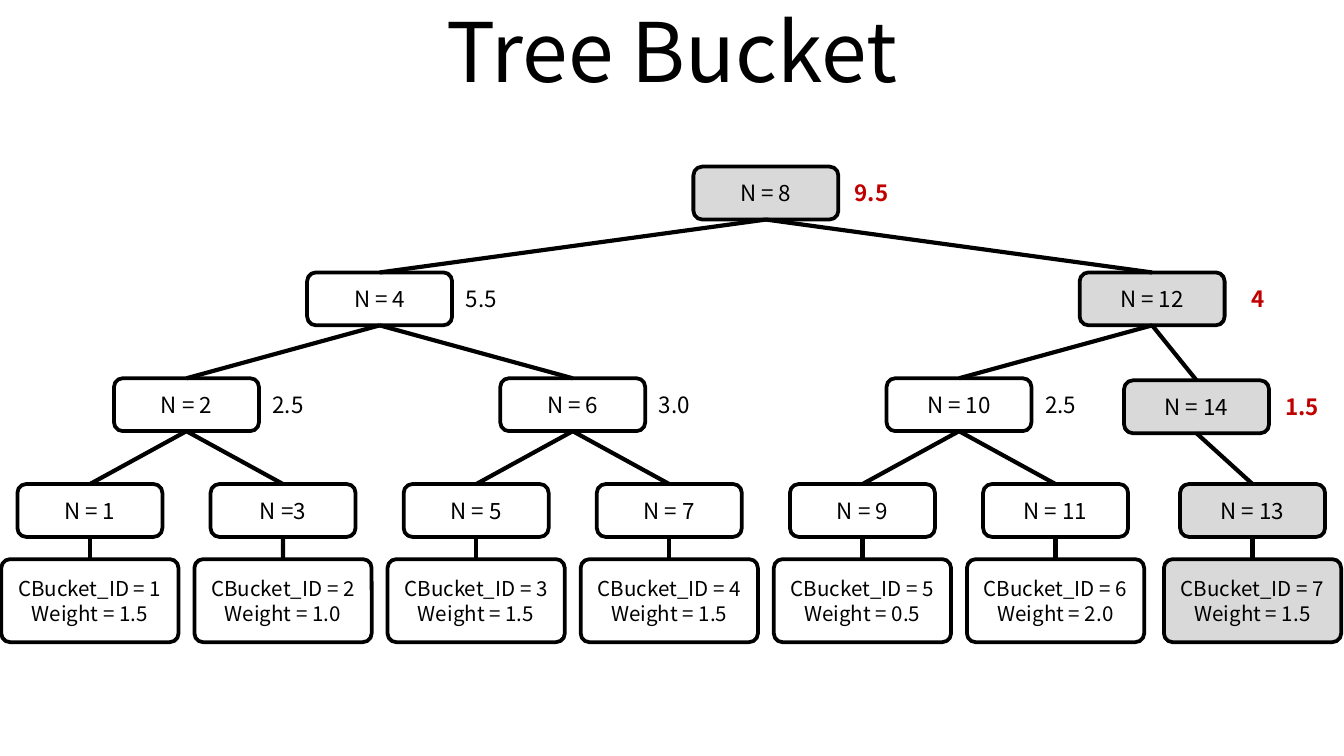
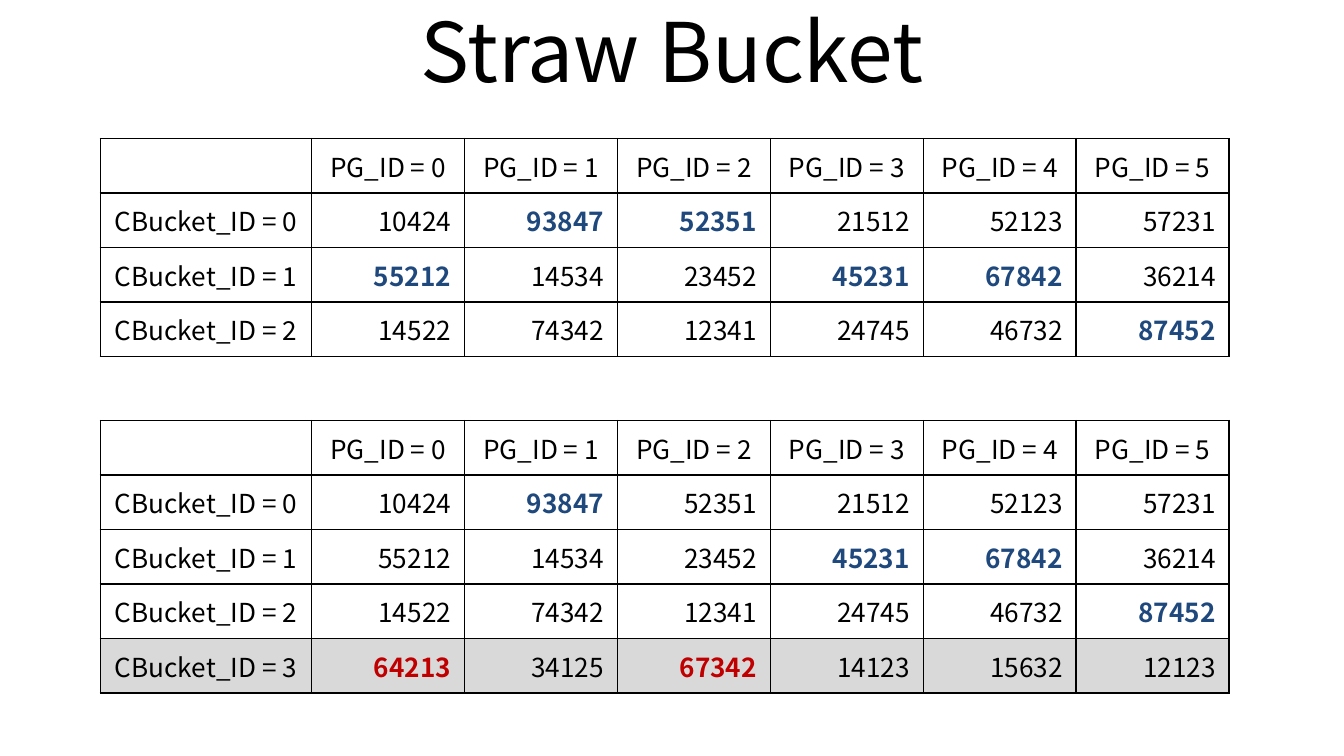
from collections import namedtuple

from lxml import etree
from pptx import Presentation
from pptx import util as u
from pptx.dml.color import RGBColor
from pptx.enum import shapes, text
from pptx.oxml.ns import qn

FONT = "Noto Sans CJK KR"
BLACK, WHITE, GREY, RED, BLUE = "000000", "FFFFFF", "D9D9D9", "C00000", "1F497D"
CENTER, RIGHT = text.PP_ALIGN.CENTER, text.PP_ALIGN.RIGHT

NODE_WIDTH, NODE_HEIGHT = 2.74, 1
BUCKET_WIDTH, BUCKET_HEIGHT, BUCKET_DROP = 3.35, 1.57, 1.42
SLOT_STEP, LEVEL_STEP = 3.65, 2
LABEL_HEIGHT = 0.7

Node = namedtuple("Node", "label slot level parent weight bucket marked",
                  defaults=(None, None, None, False))
NODES = {
    8: Node("N = 8", 3.5, 0, weight="9.5", marked=True),
    4: Node("N = 4", 1.5, 1, 8, "5.5"),
    12: Node("N = 12", 5.5, 1, 8, "4", marked=True),
    2: Node("N = 2", 0.5, 2, 4, "2.5"),
    6: Node("N = 6", 2.5, 2, 4, "3.0"),
    10: Node("N = 10", 4.5, 2, 12, "2.5"),
    14: Node("N = 14", 5.73, 2.02, 12, "1.5", marked=True),
    1: Node("N = 1", 0, 3, 2, bucket=(1, "1.5")),
    3: Node("N =3", 1, 3, 2, bucket=(2, "1.0")),
    5: Node("N = 5", 2, 3, 6, bucket=(3, "1.5")),
    7: Node("N = 7", 3, 3, 6, bucket=(4, "1.5")),
    9: Node("N = 9", 4, 3, 10, bucket=(5, "0.5")),
    11: Node("N = 11", 5, 3, 10, bucket=(6, "2.0")),
    13: Node("N = 13", 6.02, 3, 14, bucket=(7, "1.5"), marked=True),
}

STRAWS = [
    [10424, 93847, 52351, 21512, 52123, 57231],
    [55212, 14534, 23452, 45231, 67842, 36214],
    [14522, 74342, 12341, 24745, 46732, 87452],
]
NEW_STRAWS = [64213, 34125, 67342, 14123, 15632, 12123]


def color(value):
    return RGBColor.from_string(value)


def write(frame, lines, size, ink=BLACK, bold=False, align=CENTER):
    for index, line in enumerate(lines):
        para = frame.add_paragraph() if index else frame.paragraphs[0]
        para.alignment = align
        span = para.add_run()
        span.text = line
        formats = {"name": FONT, "size": u.Pt(size), "bold": bold}
        for name, value in formats.items():
            setattr(span.font, name, value)
        span.font.color.rgb = color(ink)


def add_page(deck, title):
    page = deck.slides.add_slide(deck.slide_layouts[5])
    box = page.shapes.title
    place = {"left": 1.27, "top": -0.25, "width": 22.86, "height": 2.39}
    for name, value in place.items():
        setattr(box, name, u.Cm(value))
    box.text_frame.vertical_anchor = text.MSO_ANCHOR.MIDDLE
    write(box.text_frame, [title], 44)
    return page


def add_card(page, middle, top, width, height, lines, size, marked, corner):
    box = page.shapes.add_shape(
        shapes.MSO_SHAPE.ROUNDED_RECTANGLE,
        u.Cm(middle - width / 2), u.Cm(top), u.Cm(width), u.Cm(height))
    box.adjustments[0] = corner
    box.shadow.inherit = False
    box.fill.solid()
    box.fill.fore_color.rgb = color(GREY if marked else WHITE)
    box.line.color.rgb = color(BLACK)
    box.line.width = u.Pt(2)
    box.text_frame.vertical_anchor = text.MSO_ANCHOR.MIDDLE
    box.text_frame.margin_left = box.text_frame.margin_right = u.Cm(0.1)
    write(box.text_frame, lines, size)
    return box


def add_label(page, left, middle, words, marked):
    box = page.shapes.add_textbox(
        u.Cm(left), u.Cm(middle - LABEL_HEIGHT / 2),
        u.Cm(1.25 if marked else 1.1), u.Cm(LABEL_HEIGHT))
    frame = box.text_frame
    frame.word_wrap = True
    frame.vertical_anchor = text.MSO_ANCHOR.MIDDLE
    for side in ("left", "right", "top", "bottom"):
        setattr(frame, f"margin_{side}", 0)
    write(frame, [words], 12, RED if marked else BLACK, marked)


def add_branch(page, upper, lower):
    branch = page.shapes.add_connector(shapes.MSO_CONNECTOR.STRAIGHT, 0, 0, 0, 0)
    branch.begin_connect(upper, 2)
    branch.end_connect(lower, 0)
    branch.line.color.rgb = color(BLACK)
    branch.line.width = u.Pt(2.25)
    etree.SubElement(branch._element.spPr, qn("a:effectLst"))


def add_tree(page, left, top):
    cards = {}
    for number, node in NODES.items():
        middle = left + node.slot * SLOT_STEP
        node_top = top + node.level * LEVEL_STEP
        card = add_card(page, middle, node_top, NODE_WIDTH, NODE_HEIGHT,
                        [node.label], 12, node.marked, 0.167)
        cards[number] = card
        if node.parent:
            add_branch(page, cards[node.parent], card)
        if node.weight:
            add_label(page, middle + NODE_WIDTH / 2, node_top + NODE_HEIGHT / 2,
                      node.weight, node.marked)
        if node.bucket:
            identity, weight = node.bucket
            lines = [f"CBucket_ID = {identity}", f"Weight = {weight}"]
            bucket = add_card(page, middle, node_top + BUCKET_DROP, BUCKET_WIDTH,
                              BUCKET_HEIGHT, lines, 11, node.marked, 0.106)
            add_branch(page, card, bucket)


def add_borders(cell):
    properties = cell._tc.get_or_add_tcPr()
    for index, side in enumerate(("lnL", "lnR", "lnT", "lnB")):
        border = etree.Element(qn(f"a:{side}"), w=str(u.Pt(1)))
        fill = etree.SubElement(border, qn("a:solidFill"))
        etree.SubElement(fill, qn("a:srgbClr"), val=BLACK)
        properties.insert(index, border)


def format_cell(cell, words, ink=BLACK, bold=False, align=CENTER, marked=False):
    cell.vertical_anchor = text.MSO_ANCHOR.MIDDLE
    if marked:
        cell.fill.solid()
        cell.fill.fore_color.rgb = color(GREY)
    else:
        cell.fill.background()
    if align == CENTER:
        cell.margin_left = cell.margin_right = u.Cm(0.1)
    if words:
        write(cell.text_frame, [words], 14, ink, bold, align)
    add_borders(cell)


def add_straws(page, left, top, rows, new_row=None):
    label_width, value_width, row_height = 3.99, 2.89, 1.03
    count = len(rows[0])
    grid = page.shapes.add_table(
        len(rows) + 1, count + 1, u.Cm(left), u.Cm(top),
        u.Cm(label_width + count * value_width),
        u.Cm(row_height * (len(rows) + 1))).table
    grid.first_row = grid.horz_banding = False
    for index, column in enumerate(grid.columns):
        column.width = u.Cm(value_width if index else label_width)
    for line in grid.rows:
        line.height = u.Cm(row_height)

    longest = [max(column) for column in zip(*rows)]
    format_cell(grid.cell(0, 0), "")
    for x in range(count):
        format_cell(grid.cell(0, x + 1), f"PG_ID = {x}")
    for y, values in enumerate(rows):
        marked = y == new_row
        format_cell(grid.cell(y + 1, 0), f"CBucket_ID = {y}", marked=marked)
        for x, value in enumerate(values):
            wins = value == longest[x]
            ink = (RED if marked else BLUE) if wins else BLACK
            format_cell(grid.cell(y + 1, x + 1), str(value), ink, wins, RIGHT, marked)


def main():
    deck = Presentation()
    deck.slide_width, deck.slide_height = u.Cm(25.4), u.Cm(14.29)
    add_tree(add_page(deck, "Tree Bucket"), 1.7, 3.15)
    page = add_page(deck, "Straw Bucket")
    add_straws(page, 1.9, 2.62, STRAWS)
    add_straws(page, 1.9, 7.95, STRAWS + [NEW_STRAWS], new_row=3)
    deck.save("out.pptx")


if __name__ == "__main__":
    main()
